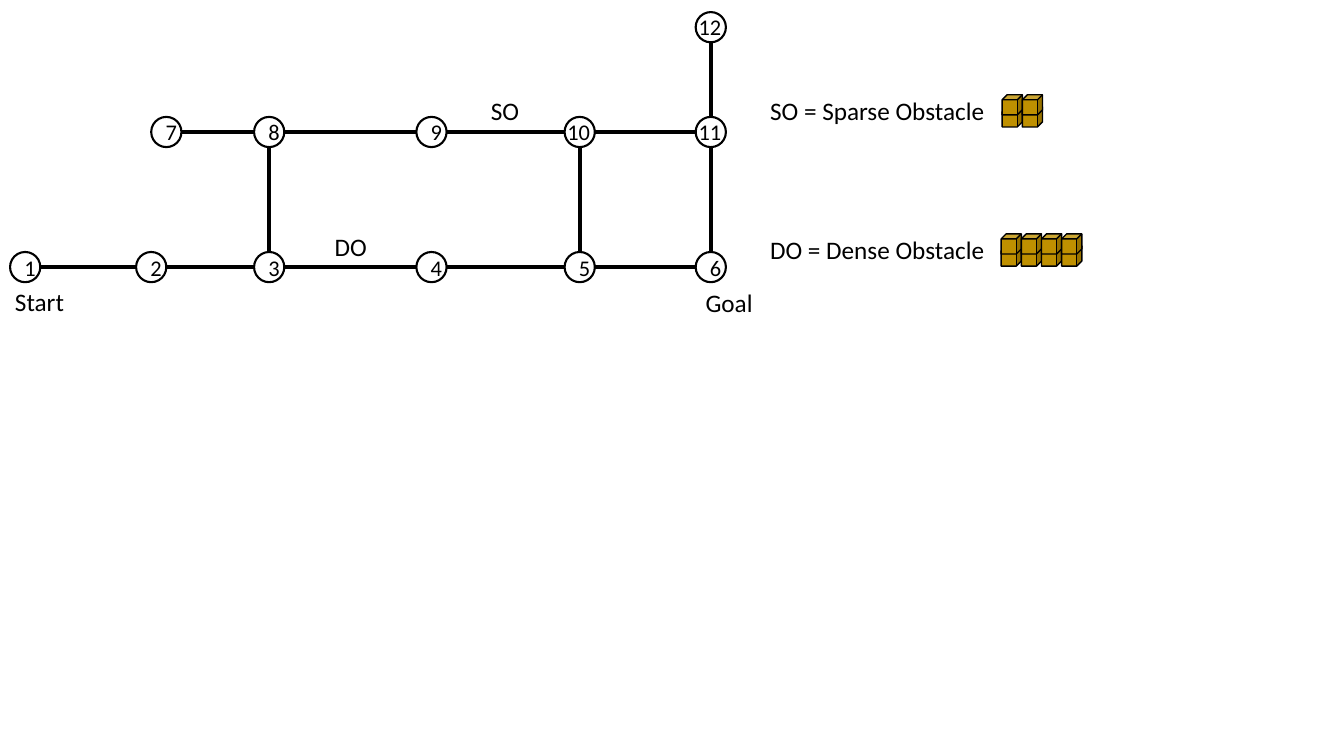
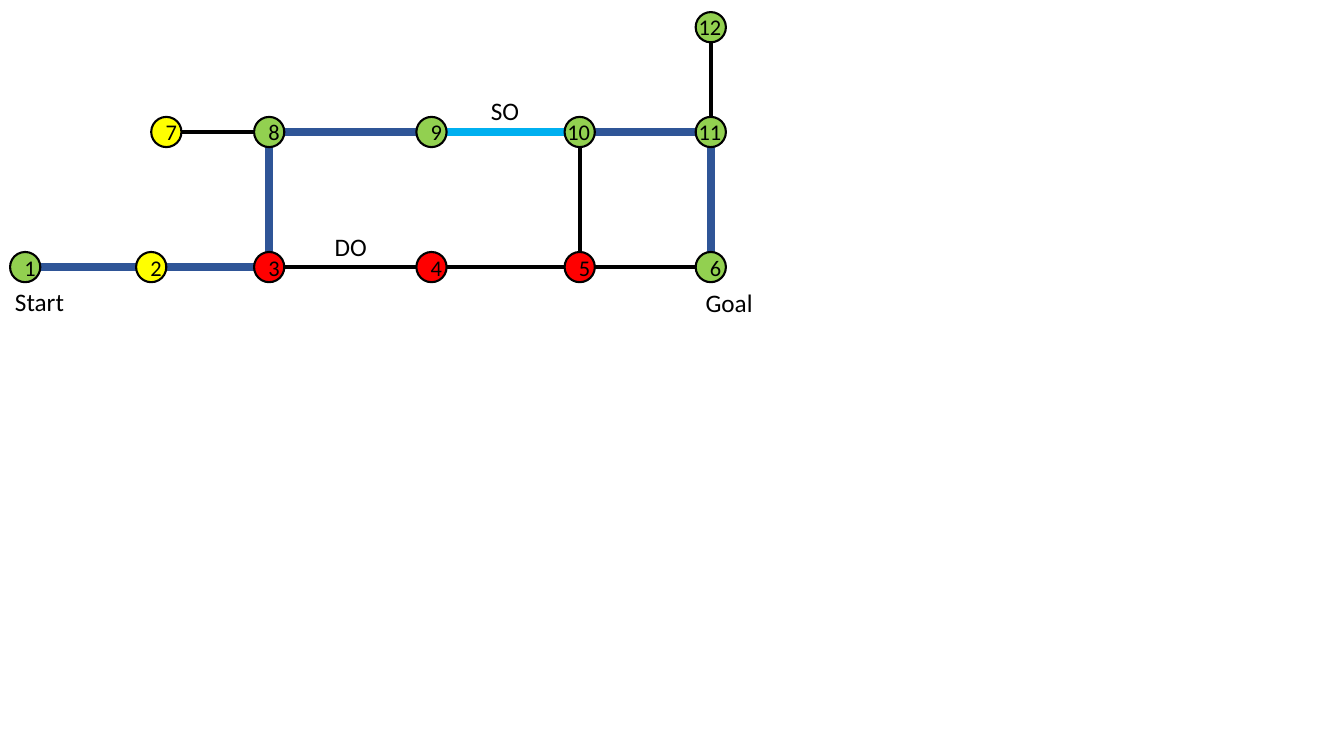
import math
from dataclasses import dataclass, field

from lxml import etree
from pptx import Presentation
from pptx.dml.color import RGBColor
from pptx.enum.shapes import MSO_CONNECTOR, MSO_SHAPE
from pptx.enum.text import MSO_ANCHOR, MSO_AUTO_SIZE, PP_ALIGN
from pptx.oxml.ns import qn
from pptx.slide import Slide
from pptx.util import Inches, Pt

STRAIGHT = MSO_CONNECTOR.STRAIGHT
CIRCLE = MSO_SHAPE.OVAL
CUBE = MSO_SHAPE.CUBE
MIDDLE = MSO_ANCHOR.MIDDLE
CENTER = PP_ALIGN.CENTER
GROW = MSO_AUTO_SIZE.SHAPE_TO_FIT_TEXT

FONT = "Calibri"
COLORS = {
    "ink": "000000",
    "crate": "BF9000",
    "route": "2F5597",
    "sparse_route": "00B0F0",
    "green": "92D050",
    "yellow": "FFFF00",
    "red": "FF0000",
}
NODE_SIZE = 0.3
NODE_TEXT, LABEL_TEXT = 16, 18
CRATE_SIZE, CRATE_RISE = 0.2, 0.12


@dataclass(frozen=True)
class Label:
    text: str
    left: float
    top: float
    width: float
    height: float = 0.4
    size: int = LABEL_TEXT
    wrap: bool = False


@dataclass(frozen=True)
class Obstacle:
    meaning: Label
    crates_left: float
    crates_top: float
    columns: int


@dataclass(frozen=True)
class MapView:
    node_fills: dict[int, str] = field(default_factory=dict)
    route: dict[tuple[int, int], str] = field(default_factory=dict)
    legend: tuple[Obstacle, ...] = ()


LOWER, UPPER, TOP = 2.65, 1.31, 0.27
NODES = {
    1: (0.25, LOWER),
    2: (1.5, LOWER),
    3: (2.67, LOWER),
    4: (4.28, LOWER),
    5: (5.75, LOWER),
    6: (7.05, LOWER),
    7: (1.65, UPPER),
    8: (2.67, UPPER),
    9: (4.28, UPPER),
    10: (5.75, UPPER),
    11: (7.05, UPPER),
    12: (7.05, TOP),
}
EDGES = [(n, n + 1) for n in NODES if n not in (6, 12)]
EDGES += [(3, 8), (5, 10), (6, 11)]

PLACE_LABELS = (
    Label("Start", 0.05, 2.79, 0.69),
    Label("Goal", 6.9, 2.8, 0.67),
    Label("SO", 4.77, 0.9, 0.48),
    Label("DO", 3.22, 2.25, 0.52),
)
LEGEND = (
    Obstacle(Label("SO = Sparse Obstacle", 7.54, 0.9, 2.34, wrap=True), 9.94, 0.94, 2),
    Obstacle(Label("DO = Dense Obstacle", 7.54, 2.28, 2.34, wrap=True), 9.93, 2.32, 4),
)
ROUTE_EDGES = [(1, 2), (2, 3), (3, 8), (8, 9), (10, 11), (6, 11)]
VIEWS = (
    MapView(legend=LEGEND),
    MapView(
        node_fills={n: "green" for n in NODES}
        | {n: "yellow" for n in (2, 7)}
        | {n: "red" for n in (3, 4, 5)},
        route={edge: "route" for edge in ROUTE_EDGES} | {(9, 10): "sparse_route"},
    ),
)


def rgb(name: str) -> RGBColor:
    return RGBColor.from_string(COLORS[name])


def write(frame, text: str, size: int) -> None:
    run = frame.paragraphs[0].add_run()
    run.text = text
    run.font.name = FONT
    run.font.size = Pt(size)
    run.font.color.rgb = rgb("ink")


def draw_label(slide: Slide, label: Label) -> None:
    box = slide.shapes.add_textbox(
        Inches(label.left), Inches(label.top), Inches(label.width), Inches(label.height)
    )
    frame = box.text_frame
    frame.word_wrap = label.wrap
    frame.auto_size = GROW
    write(frame, label.text, label.size)


def draw_outlined(
    slide: Slide, kind, left: float, top: float, size: float, fill: str | None, line: float
):
    outlined = slide.shapes.add_shape(
        kind, Inches(left), Inches(top), Inches(size), Inches(size)
    )
    outlined.shadow.inherit = False
    if fill:
        outlined.fill.solid()
        outlined.fill.fore_color.rgb = rgb(fill)
    else:
        outlined.fill.background()
    outlined.line.color.rgb = rgb("ink")
    outlined.line.width = Pt(line)
    return outlined


def draw_node(slide: Slide, number: int, fill: str | None) -> None:
    x, y = NODES[number]
    radius = NODE_SIZE / 2
    node = draw_outlined(slide, CIRCLE, x - radius, y - radius, NODE_SIZE, fill, 1.5)
    if number < 10:
        frame = node.text_frame
        frame.vertical_anchor = MIDDLE
        frame.paragraphs[0].alignment = CENTER
        write(frame, str(number), NODE_TEXT)
    else:
        draw_label(
            slide, Label(str(number), x - 0.22, y - 0.19, 0.43, 0.37, NODE_TEXT)
        )


def draw_edge(slide: Slide, edge: tuple[int, int], route: str | None) -> None:
    (x1, y1), (x2, y2) = (NODES[n] for n in edge)
    share = NODE_SIZE / 2 / math.dist((x1, y1), (x2, y2))
    dx, dy = (x2 - x1) * share, (y2 - y1) * share
    link = slide.shapes.add_connector(
        STRAIGHT, Inches(x1 + dx), Inches(y1 + dy), Inches(x2 - dx), Inches(y2 - dy)
    )
    link.line.color.rgb = rgb(route or "ink")
    link.line.width = Pt(6 if route else 3)
    etree.SubElement(link._element.spPr, qn("a:effectLst"))


def draw_obstacle(slide: Slide, obstacle: Obstacle) -> None:
    draw_label(slide, obstacle.meaning)
    for rise in (CRATE_RISE, 0):
        for column in range(obstacle.columns):
            left = obstacle.crates_left + column * CRATE_SIZE
            draw_outlined(
                slide, CUBE, left, obstacle.crates_top + rise, CRATE_SIZE, "crate", 1
            )


def draw_map(slide: Slide, view: MapView) -> None:
    for edge in EDGES:
        draw_edge(slide, edge, view.route.get(edge))
    for number in NODES:
        draw_node(slide, number, view.node_fills.get(number))
    for label in PLACE_LABELS:
        draw_label(slide, label)
    for obstacle in view.legend:
        draw_obstacle(slide, obstacle)


def main() -> None:
    deck = Presentation()
    deck.slide_width, deck.slide_height = Inches(13.33), Inches(7.5)
    blank = deck.slide_layouts[6]
    for view in VIEWS:
        draw_map(deck.slides.add_slide(blank), view)
    deck.save("out.pptx")


if __name__ == "__main__":
    main()
